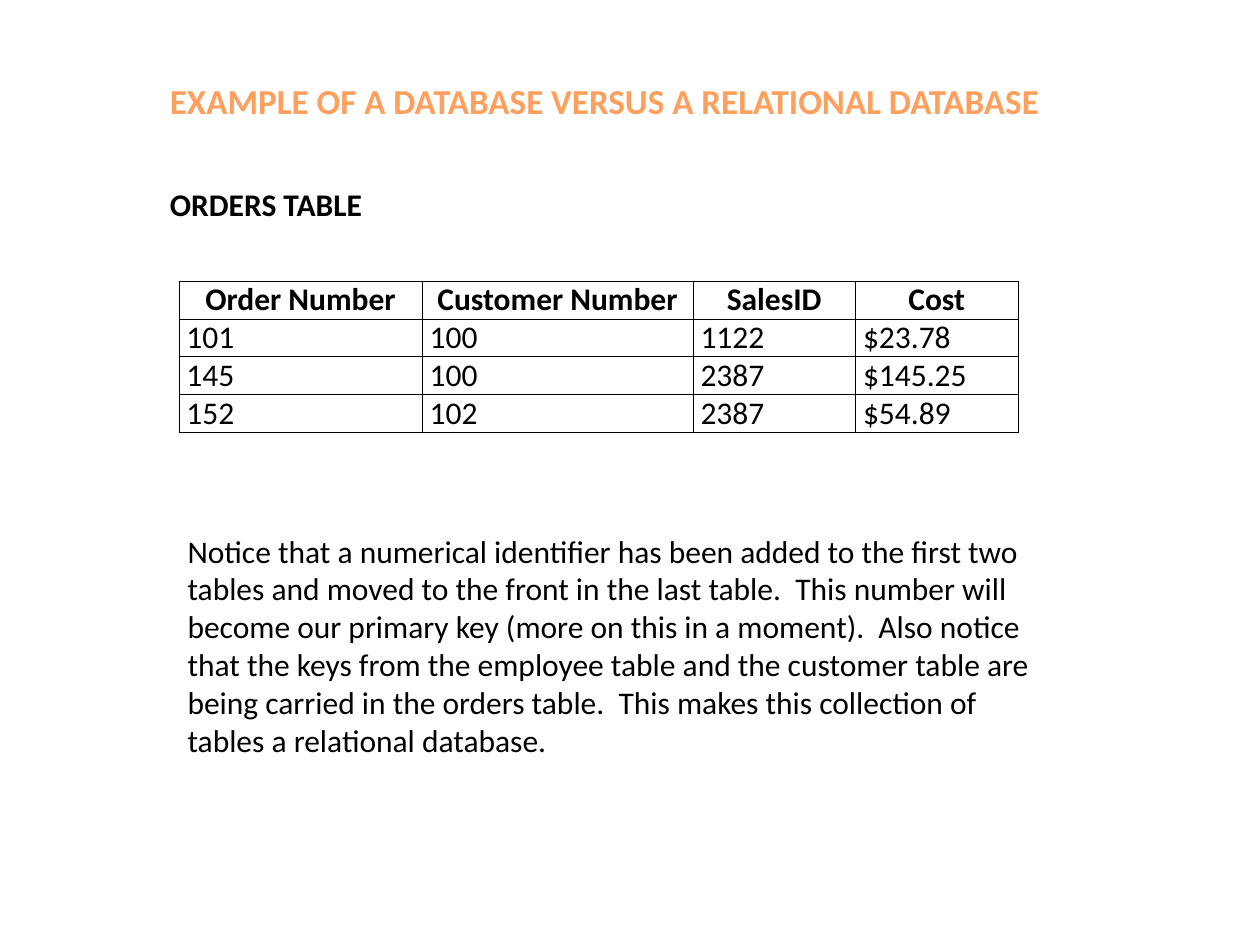
from lxml import etree
from pptx import Presentation
from pptx.dml.color import RGBColor
from pptx.enum.text import MSO_ANCHOR, MSO_AUTO_SIZE, PP_ALIGN
from pptx.oxml.ns import qn
from pptx.util import Inches, Pt

LEFT, CENTER = PP_ALIGN.LEFT, PP_ALIGN.CENTER
TOP = MSO_ANCHOR.TOP
GROW = MSO_AUTO_SIZE.SHAPE_TO_FIT_TEXT

ORANGE = RGBColor(0xFF, 0x9F, 0x5D)
BLACK = RGBColor(0, 0, 0)
FONT = "Calibri"

TITLE = "EXAMPLE OF A DATABASE VERSUS A RELATIONAL DATABASE"
TABLE_HEADING = "ORDERS TABLE"
ORDERS = [
    ("Order Number", "Customer Number", "SalesID", "Cost"),
    ("101", "100", "1122", "$23.78"),
    ("145", "100", "2387", "$145.25"),
    ("152", "102", "2387", "$54.89"),
]
EXPLANATION = (
    "Notice that a numerical identifier has been added to the first two tables "
    "and moved to the front in the last table.  This number will become our "
    "primary key (more on this in a moment).  Also notice that the keys from the "
    "employee table and the customer table are being carried in the orders table.  "
    "This makes this collection of tables a relational database."
)

SLIDE_WIDTH, SLIDE_HEIGHT = 10, 7.5
MARGIN = SLIDE_WIDTH / 8
COLUMN_WIDTHS = (1.93, 2.15, 1.29, 1.29)
ROW_HEIGHT = 0.3
CELL_INSET = 0.06
BORDER_WIDTH = Pt(0.4)


def write_text(frame, text, size=18, color=BLACK, bold=False, align=LEFT):
    paragraph = frame.paragraphs[0]
    paragraph.alignment = align
    run = paragraph.add_run()
    run.text = text
    run.font.name = FONT
    run.font.size = Pt(size)
    run.font.bold = bold
    run.font.color.rgb = color


def add_text(slide, text, left, top, width, height, **text_format):
    box = slide.shapes.add_textbox(*map(Inches, (left, top, width, height)))
    box.text_frame.word_wrap = True
    box.text_frame.auto_size = GROW
    write_text(box.text_frame, text, **text_format)


def add_borders(cell):
    properties = cell._tc.get_or_add_tcPr()
    for position, side in enumerate(("a:lnL", "a:lnR", "a:lnT", "a:lnB")):
        line = etree.Element(qn(side), w=str(BORDER_WIDTH))
        fill = etree.SubElement(line, qn("a:solidFill"))
        etree.SubElement(fill, qn("a:srgbClr"), val=str(BLACK))
        properties.insert(position, line)


def add_orders_table(slide, left, top):
    size = (sum(COLUMN_WIDTHS), ROW_HEIGHT * len(ORDERS))
    table = slide.shapes.add_table(
        len(ORDERS), len(COLUMN_WIDTHS), *map(Inches, (left, top, *size))
    ).table
    for column, width in zip(table.columns, COLUMN_WIDTHS):
        column.width = Inches(width)
    for row_index, order in enumerate(ORDERS):
        is_header = row_index == 0
        for column_index, value in enumerate(order):
            cell = table.cell(row_index, column_index)
            cell.margin_left = cell.margin_right = Inches(CELL_INSET)
            cell.margin_top = cell.margin_bottom = 0
            cell.vertical_anchor = TOP
            cell.fill.background()
            add_borders(cell)
            write_text(cell.text_frame, value, bold=is_header,
                       align=CENTER if is_header else LEFT)


def main():
    presentation = Presentation()
    presentation.slide_width = Inches(SLIDE_WIDTH)
    presentation.slide_height = Inches(SLIDE_HEIGHT)
    slide = presentation.slides.add_slide(presentation.slide_layouts[6])

    add_text(slide, TITLE, MARGIN, 0.58, 8.58, 0.44, size=20, color=ORANGE, bold=True)
    add_orders_table(slide, 1.42, 2.23)
    add_text(slide, TABLE_HEADING, MARGIN, 1.42, 2.25, 0.4, bold=True)
    add_text(slide, EXPLANATION, 1.39, 4.17, 7.08, 1.92)

    presentation.save("out.pptx")


if __name__ == "__main__":
    main()
